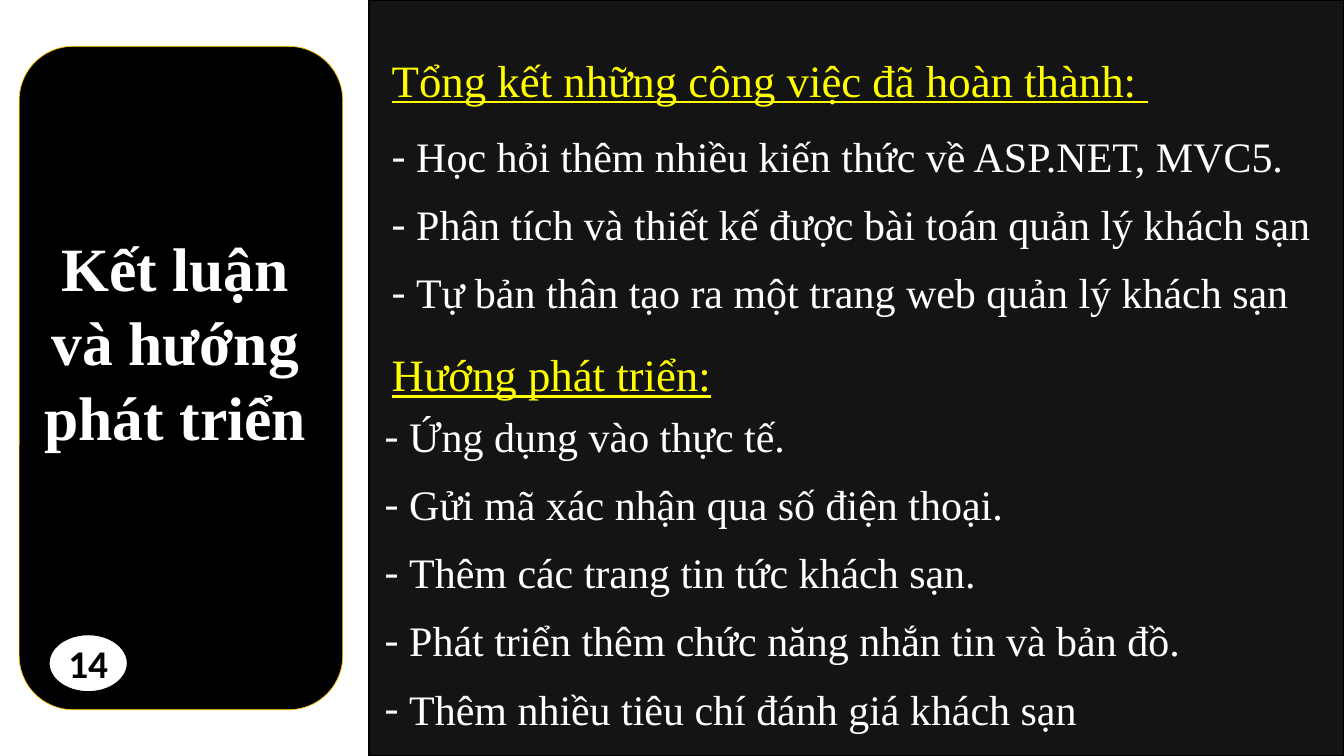
from dataclasses import dataclass

from lxml import etree
from pptx import Presentation
from pptx.dml.color import RGBColor
from pptx.enum.shapes import MSO_SHAPE
from pptx.enum.text import MSO_ANCHOR, MSO_AUTO_SIZE, PP_ALIGN
from pptx.oxml.ns import qn
from pptx.util import Pt

RECTANGLE = MSO_SHAPE.RECTANGLE
ROUNDED = MSO_SHAPE.ROUNDED_RECTANGLE
OVAL = MSO_SHAPE.OVAL
TOP, MIDDLE = MSO_ANCHOR.TOP, MSO_ANCHOR.MIDDLE
LEFT, CENTER = PP_ALIGN.LEFT, PP_ALIGN.CENTER
NO_AUTOFIT = MSO_AUTO_SIZE.NONE
COMPARISON_LAYOUT = 4


@dataclass(frozen=True)
class Theme:
    black: RGBColor = RGBColor(0x00, 0x00, 0x00)
    white: RGBColor = RGBColor(0xFF, 0xFF, 0xFF)
    yellow: RGBColor = RGBColor(0xFF, 0xFF, 0x00)
    gold: RGBColor = RGBColor(0xFF, 0xC0, 0x00)
    serif: str = "Times New Roman"
    sans: str = "Calibri"
    title: float = 44
    heading: float = 32
    item: float = 30
    number: float = 28
    title_line: float = 53
    heading_line: float = 39
    item_line: float = 48.6
    item_indent: float = 17.5


THEME = Theme()

TITLE = ["Kết luận", "và hướng", "phát triển"]
DONE_HEADING = "Tổng kết những công việc đã hoàn thành: "
DONE = [
    "Học hỏi thêm nhiều kiến thức về ASP.NET, MVC5.",
    "Phân tích và thiết kế được bài toán quản lý khách sạn",
    "Tự bản thân tạo ra một trang web quản lý khách sạn",
]
NEXT_HEADING = "Hướng phát triển:"
NEXT = [
    "Ứng dụng vào thực tế.",
    "Gửi mã xác nhận qua số điện thoại.",
    "Thêm các trang tin tức khách sạn.",
    "Phát triển thêm chức năng nhắn tin và bản đồ.",
    "Thêm nhiều tiêu chí đánh giá khách sạn",
]


def add_block(slide, kind, box, fill, line, line_width):
    block = slide.shapes.add_shape(kind, *map(Pt, box))
    block.shadow.inherit = False
    block.fill.solid()
    block.fill.fore_color.rgb = fill
    block.line.color.rgb = line
    block.line.width = Pt(line_width)
    return block


def style_font(paragraph, face, size, color, bold=False, underline=False):
    font = paragraph.font
    font.name, font.size, font.bold = face, Pt(size), bold
    font.underline = underline
    font.color.rgb = color


def add_dash(paragraph):
    properties = paragraph._p.get_or_add_pPr()
    indent = int(Pt(THEME.item_indent))
    properties.set("marL", str(indent))
    properties.set("indent", str(-indent))
    etree.SubElement(properties, qn("a:buFont")).set("typeface", THEME.serif)
    etree.SubElement(properties, qn("a:buChar")).set("char", "-")


def fill_placeholder(slide, index, box, lines, pitch, size, color,
                     align=LEFT, dash=False, **emphasis):
    holder = slide.placeholders[index]
    holder.left, holder.top, holder.width, holder.height = map(Pt, box)
    slide.shapes._spTree.append(holder._element)  # bring in front of the panels
    frame = holder.text_frame
    frame.text = "\n".join(lines)
    frame.word_wrap = True
    frame.auto_size = NO_AUTOFIT
    frame.vertical_anchor = TOP
    frame.margin_left = frame.margin_right = 0
    frame.margin_top = frame.margin_bottom = 0
    for paragraph in frame.paragraphs:
        paragraph.alignment = align
        paragraph.line_spacing = Pt(pitch)
        paragraph.space_before = paragraph.space_after = Pt(0)
        if dash:
            add_dash(paragraph)
        style_font(paragraph, THEME.serif, size, color, **emphasis)


def add_title_panel(slide, box):
    left, top, width, height = box
    add_block(slide, ROUNDED, box, THEME.black, THEME.gold, 0.5)
    title_box = (left - 4, top + 131, width, len(TITLE) * THEME.title_line)
    fill_placeholder(slide, 0, title_box, TITLE, THEME.title_line,
                     THEME.title, THEME.white, align=CENTER, bold=True)

    # Slide number badge
    badge = add_block(slide, OVAL, (left + 18.7, top + height - 56.2, 61.2, 46),
                      THEME.white, THEME.black, 6)
    frame = badge.text_frame
    frame.text = "14"
    frame.word_wrap = False
    frame.vertical_anchor = MIDDLE
    number = frame.paragraphs[0]
    number.alignment = CENTER
    style_font(number, THEME.sans, THEME.number, THEME.black, bold=True)


def add_section(slide, first_index, box, heading, items, list_left, list_top):
    left, top, width = box
    fill_placeholder(slide, first_index, (left, top, width, THEME.heading_line),
                     [heading], THEME.heading_line, THEME.heading,
                     THEME.yellow, underline=True)
    list_box = (left + list_left, top + list_top, width,
                len(items) * THEME.item_line)
    fill_placeholder(slide, first_index + 1, list_box, items, THEME.item_line,
                     THEME.item, THEME.white, dash=True)


def add_content_panel(slide, box):
    left, top, width, _ = box
    backdrop = add_block(slide, RECTANGLE, box, THEME.black, THEME.black, 1)
    tint = backdrop.fill._xPr.find(qn("a:solidFill"))[0]
    etree.SubElement(tint, qn("a:alpha")).set("val", "92000")

    text_left, text_width = left + 16.2, width - 20
    add_section(slide, 1, (text_left, top + 37, text_width),
                DONE_HEADING, DONE, 0, 43.8)
    add_section(slide, 3, (text_left, top + 247.2, text_width),
                NEXT_HEADING, NEXT, -5, 33.6)


def main():
    presentation = Presentation()
    presentation.slide_width, presentation.slide_height = Pt(960), Pt(540)
    slide = presentation.slides.add_slide(
        presentation.slide_layouts[COMPARISON_LAYOUT])
    add_content_panel(slide, (263.6, 0, 696.4, 540))
    add_title_panel(slide, (13.7, 33.1, 231.1, 473.8))
    presentation.save("out.pptx")


if __name__ == "__main__":
    main()
